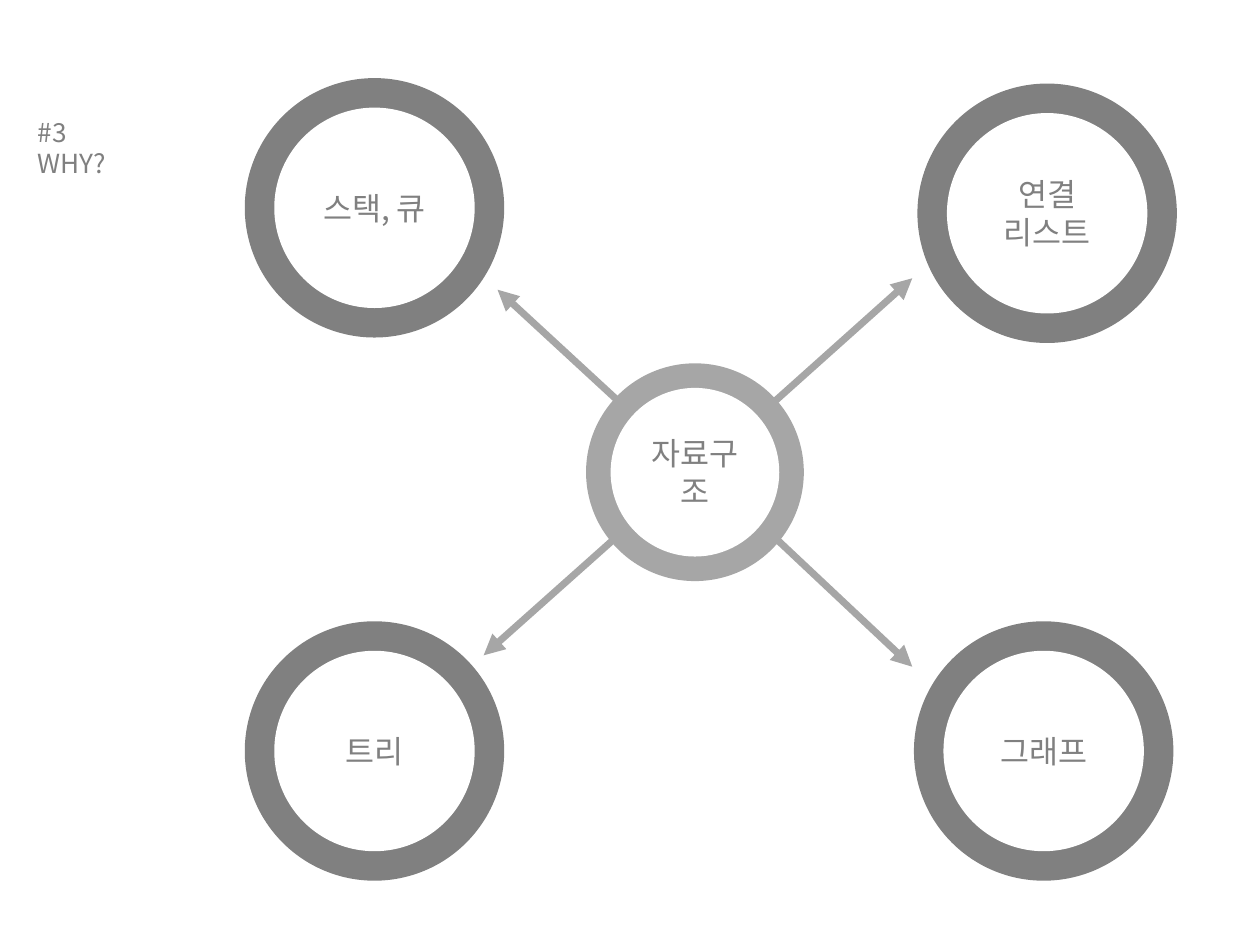
from dataclasses import dataclass

import pptx
import pptx.dml.color
import pptx.enum.shapes
import pptx.enum.text
import pptx.oxml
import pptx.oxml.ns
import pptx.util
from pptx.util import Cm

FONT = "Noto Sans CJK KR"
DARK, LIGHT, WHITE = "808080", "A6A6A6", "FFFFFF"


@dataclass
class Ring:
    """A labelled ring; lengths in cm."""
    x: float
    y: float
    label: str
    outer: float = 5.23
    inner: float = 4.04
    color: str = DARK


@dataclass
class Arrow:
    """An arrow from the hub outwards; lengths in cm."""
    x1: float
    y1: float
    x2: float
    y2: float


HUB = Ring(14.01, 9.52, "자료구조", 4.39, 3.4, LIGHT)
TOPICS = [
    Ring(7.55, 4.19, "스택, 큐"),
    Ring(7.55, 15.14, "트리"),
    Ring(21.04, 15.14, "그래프"),
    Ring(21.11, 4.3, "연결\n리스트"),
]
ARROWS = [
    Arrow(14.02, 9.52, 18.39, 5.61),
    Arrow(14.02, 9.52, 10.03, 5.84),
    Arrow(13.89, 9.52, 9.75, 13.21),
    Arrow(14.22, 9.52, 18.39, 13.44),
]


def rgb(value: str) -> pptx.dml.color.RGBColor:
    return pptx.dml.color.RGBColor.from_string(value)


def write(tf, text: str, *, size: float, align, anchor, color: str = DARK) -> None:
    tf.word_wrap = True
    tf.vertical_anchor = anchor
    tf.margin_left = tf.margin_right = Cm(0.25)
    tf.margin_top = tf.margin_bottom = Cm(0.13)
    tf.text = text
    for p in tf.paragraphs:
        p.alignment = align
        p.line_spacing = 1.0
        for r in p.runs:
            r.font.size = pptx.util.Pt(size)
            r.font.name = FONT
            r.font.color.rgb = rgb(color)
            ea = pptx.oxml.parse_xml(
                f'<a:ea {pptx.oxml.ns.nsdecls("a")} typeface="{FONT}"/>')
            r.font._element.find(pptx.oxml.ns.qn("a:latin")).addnext(ea)


def add_disc(slide, x: float, y: float, size: float, color: str):
    sp = slide.shapes.add_shape(
        pptx.enum.shapes.MSO_SHAPE.OVAL,
        Cm(x - size / 2), Cm(y - size / 2), Cm(size), Cm(size))
    sp.shadow.inherit = False
    sp.fill.solid()
    sp.fill.fore_color.rgb = rgb(color)
    sp.line.fill.background()
    return sp


def add_ring(slide, ring: Ring) -> None:
    add_disc(slide, ring.x, ring.y, ring.outer, ring.color)
    sp = add_disc(slide, ring.x, ring.y, ring.inner, WHITE)
    write(sp.text_frame, ring.label, size=18,
          align=pptx.enum.text.PP_ALIGN.CENTER,
          anchor=pptx.enum.text.MSO_ANCHOR.MIDDLE)


def add_arrow(slide, arrow: Arrow) -> None:
    line = slide.shapes.add_connector(
        pptx.enum.shapes.MSO_CONNECTOR.STRAIGHT,
        Cm(arrow.x1), Cm(arrow.y1), Cm(arrow.x2), Cm(arrow.y2))
    line.line.color.rgb = rgb(LIGHT)
    line.line.width = pptx.util.Pt(4)
    ns = pptx.oxml.ns.nsdecls("a")
    line.line._get_or_add_ln().append(
        pptx.oxml.parse_xml(f'<a:tailEnd {ns} type="triangle"/>'))
    line._element.spPr.append(pptx.oxml.parse_xml(f"<a:effectLst {ns}/>"))


def main() -> None:
    prs = pptx.Presentation()
    prs.slide_width, prs.slide_height = Cm(25.4), Cm(19.05)
    slide = prs.slides.add_slide(prs.slide_layouts[5])

    # Heading
    title = slide.shapes.title
    title.left, title.top, title.width, title.height = (
        Cm(0.51), Cm(2.21), Cm(2.11), Cm(1.55))
    write(title.text_frame, "#3 WHY?", size=15,
          align=pptx.enum.text.PP_ALIGN.JUSTIFY,
          anchor=pptx.enum.text.MSO_ANCHOR.TOP)
    title.text_frame.auto_size = pptx.enum.text.MSO_AUTO_SIZE.NONE

    # Arrows lie behind the rings
    for arrow in ARROWS:
        add_arrow(slide, arrow)

    # Hub and topics
    for ring in [HUB, *TOPICS]:
        add_ring(slide, ring)

    prs.save("out.pptx")


if __name__ == "__main__":
    main()
